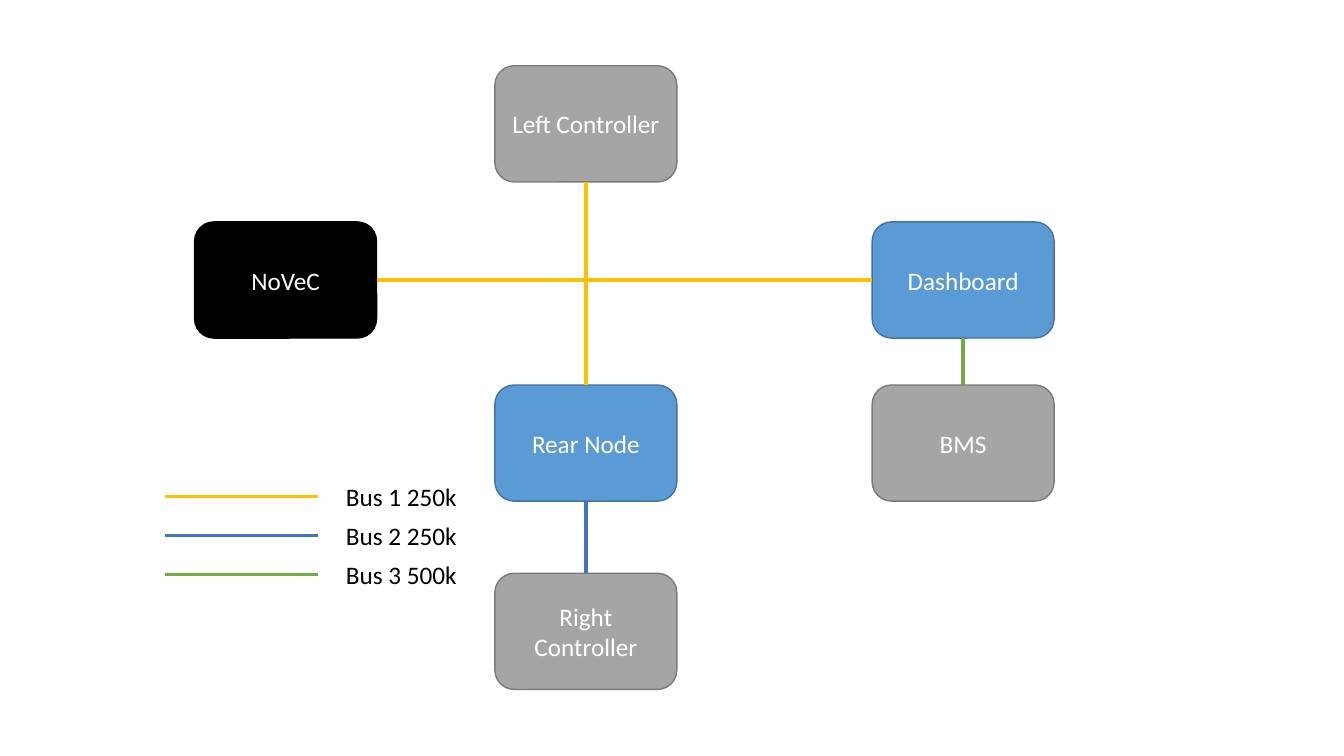
from lxml import etree
from pptx import Presentation
from pptx.dml.color import RGBColor
from pptx.enum import shapes, text
from pptx.oxml import ns
from pptx.util import Pt

COLORS = {
    "black": "000000", "white": "FFFFFF",
    "grey": "A5A5A5", "grey_edge": "7A7A7A",
    "blue": "5B9BD5", "blue_edge": "43739E",
    "bus1": "FFC000", "bus2": "4472C4", "bus3": "70AD47",
}
FONT = "Calibri"
NODE_W, NODE_H = 130, 83
COLUMNS = {"left": 139, "middle": 353.5, "right": 623}
ROWS = {"top": 47, "upper": 158.5, "lower": 275, "bottom": 409.5}
TOP, LEFT, BOTTOM, RIGHT = 0, 1, 2, 3

NODES = [  # label, column, row, fill, edge
    ("NoVeC", "left", "upper", "black", "black"),
    ("Left Controller", "middle", "top", "grey", "grey_edge"),
    ("Rear Node", "middle", "lower", "blue", "blue_edge"),
    ("Dashboard", "right", "upper", "blue", "blue_edge"),
    ("BMS", "right", "lower", "grey", "grey_edge"),
    ("Right Controller", "middle", "bottom", "grey", "grey_edge"),
]
LINKS = [  # start node, side, end node, side, bus
    ("NoVeC", RIGHT, "Dashboard", LEFT, "bus1"),
    ("Left Controller", BOTTOM, "Rear Node", TOP, "bus1"),
    ("Rear Node", BOTTOM, "Right Controller", TOP, "bus2"),
    ("Dashboard", BOTTOM, "BMS", TOP, "bus3"),
]
BUSES = [("Bus 1 250k", "bus1"), ("Bus 2 250k", "bus2"), ("Bus 3 500k", "bus3")]


def rgb(name):
    return RGBColor.from_string(COLORS[name])


def write(frame, words, color, align):
    frame.text = words
    paragraph = frame.paragraphs[0]
    paragraph.alignment = align
    paragraph.font.name = FONT
    paragraph.font.size = Pt(18)
    paragraph.font.color.rgb = rgb(color)


def add_node(slide, left, top, label, fill, edge):
    node = slide.shapes.add_shape(shapes.MSO_SHAPE.ROUNDED_RECTANGLE,
                                  Pt(left), Pt(top), Pt(NODE_W), Pt(NODE_H))
    node.shadow.inherit = False
    node.fill.solid()
    node.fill.fore_color.rgb = rgb(fill)
    node.line.color.rgb = rgb(edge)
    node.line.width = Pt(1)
    node.text_frame.word_wrap = True
    node.text_frame.vertical_anchor = text.MSO_ANCHOR.MIDDLE
    write(node.text_frame, label, "white", text.PP_ALIGN.CENTER)
    return node


def add_bus_line(slide, bus, x1=0, y1=0, x2=0, y2=0):
    line = slide.shapes.add_connector(shapes.MSO_CONNECTOR.STRAIGHT,
                                      Pt(x1), Pt(y1), Pt(x2), Pt(y2))
    line.line.color.rgb = rgb(bus)
    line.line.width = Pt(2.5)
    etree.SubElement(line._element.spPr, ns.qn("a:effectLst"))
    return line


def add_network(slide):
    nodes = {}
    for label, column, row, fill, edge in NODES:
        nodes[label] = add_node(slide, COLUMNS[column], ROWS[row], label, fill, edge)
    for start, start_side, end, end_side, bus in LINKS:
        link = add_bus_line(slide, bus)
        link.begin_connect(nodes[start], start_side)
        link.end_connect(nodes[end], end_side)


def add_legend(slide, left, top, pitch=28, sample=109.5, label_x=122, label_h=29):
    for row, (label, bus) in enumerate(BUSES):
        y = top + row * pitch
        middle = y + label_h / 2
        add_bus_line(slide, bus, left, middle, left + sample, middle)
        box = slide.shapes.add_textbox(Pt(left + label_x), Pt(y), Pt(103), Pt(label_h))
        box.text_frame.word_wrap = True
        box.text_frame.auto_size = text.MSO_AUTO_SIZE.SHAPE_TO_FIT_TEXT
        write(box.text_frame, label, "black", text.PP_ALIGN.LEFT)


def main():
    deck = Presentation()
    deck.slide_width, deck.slide_height = Pt(960), Pt(540)
    slide = deck.slides.add_slide(deck.slide_layouts[6])
    add_network(slide)
    add_legend(slide, 118, 340)
    deck.save("out.pptx")


if __name__ == "__main__":
    main()
